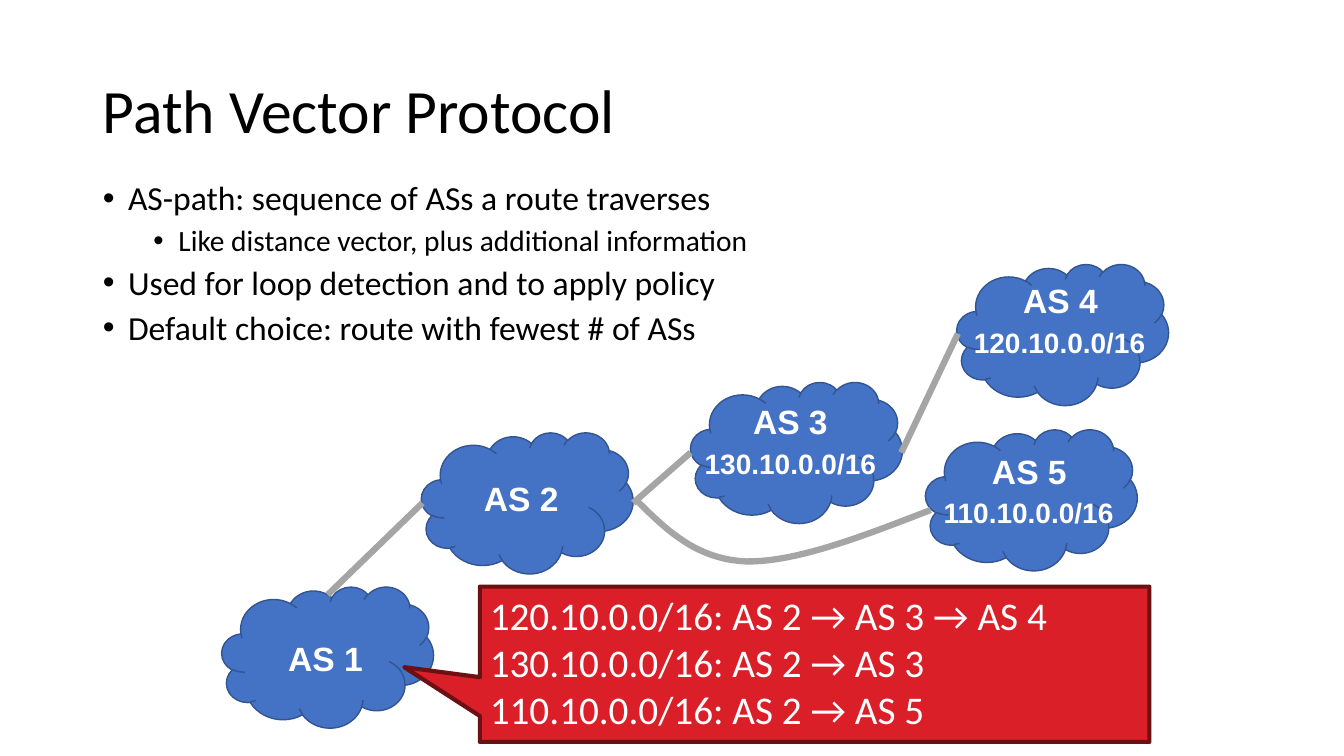
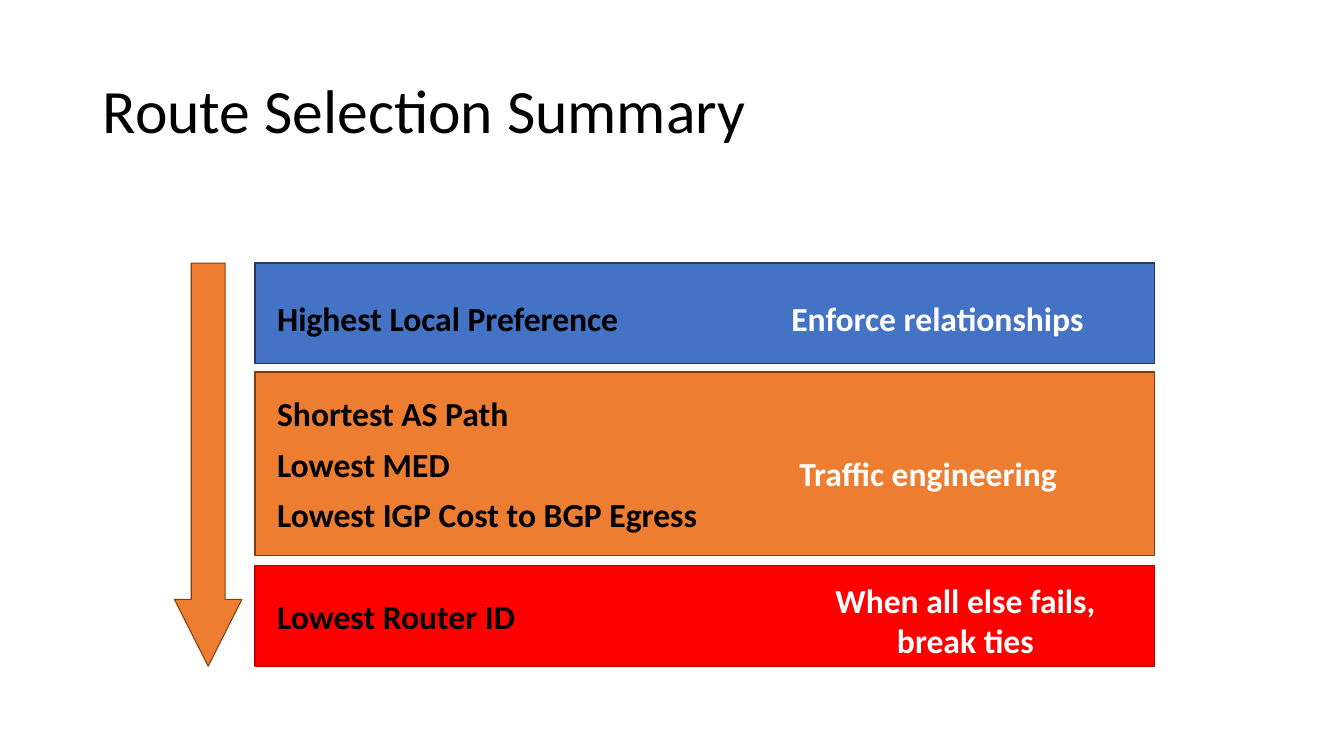
from pptx import Presentation
from pptx import util as u
from pptx.dml.color import RGBColor
from pptx.enum import shapes, text
from pptx.oxml.ns import qn
from lxml import etree

HUES = {
    "black": "000000", "white": "FFFFFF", "blue": "4472C4", "edge": "325491",
    "navy": "203864", "orange": "ED7D31", "brown": "843C0B", "red": "FF0000",
    "wine": "C00000", "gray": "A5A5A5", "rose": "DA1F28", "dark": "6D1014",
}
KIND = shapes.MSO_SHAPE
LEFT, MID = text.PP_ALIGN.LEFT, text.PP_ALIGN.CENTER
TITLE = {"size": u.Pt(44), "name": "Calibri", "bold": False}
HEAD = {"size": u.Pt(24), "name": "Arial", "bold": True}
NET = {"size": u.Pt(20), "name": "Arial", "bold": True}
RULE = {"size": u.Pt(24), "name": "Calibri", "bold": True}
ROUTE = {"size": u.Pt(28), "name": "Calibri", "bold": False}


def write(frame, lines, look, hue, align=LEFT, wrap=False):
    frame.word_wrap = wrap
    frame.auto_size = text.MSO_AUTO_SIZE.NONE
    frame.text = "\n".join(lines)
    for para in frame.paragraphs:
        para.alignment = align
        for key, value in look.items():
            setattr(para.font, key, value)
        para.font.color.rgb = RGBColor.from_string(HUES[hue])


def draw(slide, kind, place, fill, edge, width=1):
    shape = slide.shapes.add_shape(kind, *map(u.Inches, place))
    shape.shadow.inherit = False
    shape.fill.solid()
    shape.fill.fore_color.rgb = RGBColor.from_string(HUES[fill])
    shape.line.color.rgb = RGBColor.from_string(HUES[edge])
    shape.line.width = u.Pt(width)
    return shape


deck = Presentation()
deck.slide_width, deck.slide_height = u.Inches(13.33), u.Inches(7.5)
pages = []
for name, plan in [("Path Vector Protocol", 1), ("Route Selection Summary", 5)]:
    page = deck.slides.add_slide(deck.slide_layouts[plan])
    title = page.shapes.title
    title.left, title.top, title.width, title.height = map(u.Inches, (0.92, 0.4, 11.5, 1.45))
    write(title.text_frame, [name], TITLE, "black", wrap=True)
    title.text_frame.vertical_anchor = text.MSO_ANCHOR.MIDDLE
    title.text_frame.paragraphs[0].line_spacing = 0.9
    pages.append(page)
graph, summary = pages

body = graph.placeholders[1]
body.left, body.top, body.width, body.height = map(u.Inches, (0.92, 1.75, 10.58, 2.18))
points = [
    ("AS-path: sequence of ASs a route traverses", 0),
    ("Like distance vector, plus additional information", 1),
    ("Used for loop detection and to apply policy", 0),
    ("Default choice: route with fewest # of ASs", 0),
]
write(body.text_frame, [line for line, level in points], {"name": "Calibri"}, "black", wrap=True)
for para, (line, level) in zip(body.text_frame.paragraphs, points):
    form = {"level": level, "line_spacing": 0.9, "space_before": u.Pt(6)}
    for key, value in form.items():
        setattr(para, key, value)
    para.font.size = u.Pt(21 if level else 24)
    props = para._p.get_or_add_pPr()
    props.set("marL", str(u.Inches(0.25 + 0.5 * level)))
    props.set("indent", str(u.Inches(-0.25)))
    font = etree.SubElement(props, qn("a:buFont"))
    font.set("typeface", "Arial")
    mark = etree.SubElement(props, qn("a:buChar"))
    mark.set("char", "•")

clouds = [
    (9.49, 2.62), (4.18, 4.29), (2.2, 5.82), (9.18, 4.26), (6.85, 3.79),
]
for x, y in clouds:
    draw(graph, KIND.CLOUD, (x, y, 2.1, 1.4), "blue", "edge")

names = [
    ("AS 1", 2.76, 6.28, None), ("AS 2", 4.7, 4.69, None),
    ("AS 3", 7.37, 3.93, ("130.10.0.0/16", 6.89)),
    ("AS 4", 10.05, 2.73, ("120.10.0.0/16", 9.56)),
    ("AS 5", 9.74, 4.42, ("110.10.0.0/16", 9.26)),
]
for name, x, y, net in names:
    box = graph.shapes.add_textbox(*map(u.Inches, (x, y, 0.95, 0.5)))
    write(box.text_frame, [name], HEAD, "white")
    if net:
        box = graph.shapes.add_textbox(*map(u.Inches, (net[1], y + 0.45, 1.91, 0.43)))
        write(box.text_frame, [net[0]], NET, "white")

links = [
    (4.19, 4.99, 3.25, 5.9), (6.28, 4.99, 6.85, 4.49), (9.5, 3.31, 8.94, 4.49),
]
wires = []
for ends in links:
    wire = graph.shapes.add_connector(shapes.MSO_CONNECTOR.STRAIGHT, *map(u.Inches, ends))
    etree.SubElement(wire._element.spPr, qn("a:effectLst"))
    wires.append(wire)

curves = [
    ((6.31, 4.96), (6.61, 5.26), (6.91, 5.55), (7.4, 5.57)),
    ((7.4, 5.57), (7.89, 5.58), (8.56, 5.32), (9.23, 5.06)),
]
steps = 20
trail = []
for curve in curves:
    for step in range(1, steps + 1):
        t = step / steps
        parts = ((1 - t) ** 3, 3 * t * (1 - t) ** 2, 3 * t * t * (1 - t), t ** 3)
        trail.append(tuple(
            u.Inches(sum(part * spot[axis] for part, spot in zip(parts, curve)))
            for axis in (0, 1)))
path = graph.shapes.build_freeform(*map(u.Inches, curves[0][0]))
path.add_line_segments(trail, close=False)
bend = path.convert_to_shape()
bend.shadow.inherit = False
bend.fill.background()
for wire in wires + [bend]:
    wire.line.color.rgb = RGBColor.from_string(HUES["gray"])
    wire.line.width = u.Pt(4.5)

call = draw(graph, KIND.RECTANGULAR_CALLOUT, (4.76, 5.82, 6.64, 1.54), "rose", "dark", 3)
call.adjustments[0], call.adjustments[1] = -0.613, 0.019
routes = [
    "120.10.0.0/16: AS 2 → AS 3 → AS 4",
    "130.10.0.0/16: AS 2 → AS 3",
    "110.10.0.0/16: AS 2 → AS 5",
]
write(call.text_frame, routes, ROUTE, "white", wrap=True)
call.text_frame.vertical_anchor = text.MSO_ANCHOR.TOP

bands = [
    (2.61, 1, "blue", "navy"), (3.69, 1.82, "orange", "brown"), (5.61, 1, "red", "wine"),
]
for y, high, fill, edge in bands:
    draw(summary, KIND.RECTANGLE, (2.53, y, 8.92, high), fill, edge)

rules = [
    ("Highest Local Preference", 2.91, 3.63), ("Shortest AS Path", 3.85, 2.52),
    ("Lowest MED", 4.35, 1.94), ("Lowest IGP Cost to BGP Egress", 4.85, 5.41),
    ("Lowest Router ID", 5.86, 2.59),
]
for line, y, wide in rules:
    box = summary.shapes.add_textbox(*map(u.Inches, (2.65, y, wide, 0.5)))
    write(box.text_frame, [line], RULE, "black", wrap=wide > 5)

goals = [
    (["Enforce relationships"], (7.75, 2.91, 3.13, 0.5), LEFT),
    (["Traffic engineering"], (7.83, 4.44, 2.87, 0.5), LEFT),
    (["When all else fails,", "break ties"], (8.17, 5.7, 2.81, 0.91), MID),
]
for lines, place, align in goals:
    box = summary.shapes.add_textbox(*map(u.Inches, place))
    write(box.text_frame, lines, RULE, "white", align)

arrow = draw(summary, KIND.DOWN_ARROW, (1.73, 2.61, 0.67, 4), "orange", "brown", 0.75)
arrow.adjustments[0], arrow.adjustments[1] = 0.5, 0.99

deck.save("out.pptx")
